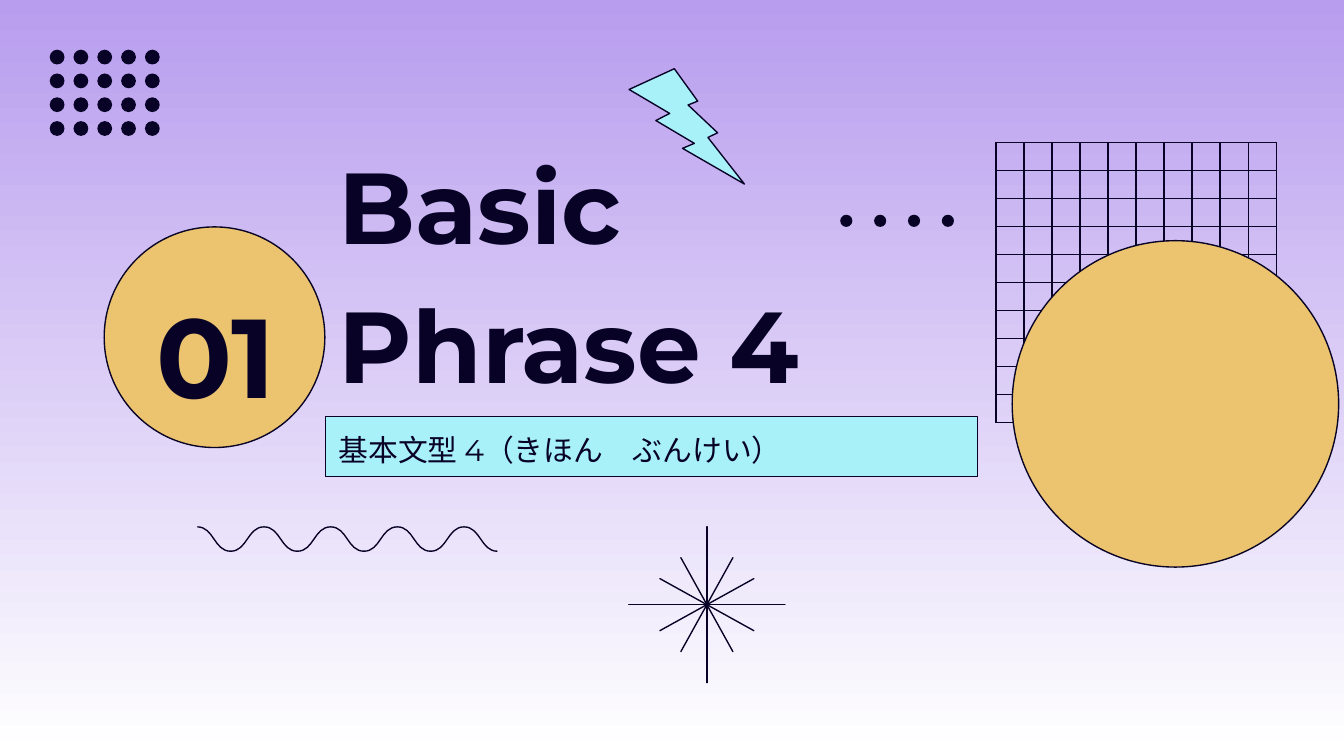
from lxml import etree
from pptx import Presentation
from pptx.dml.color import RGBColor
from pptx.enum import shapes, text
from pptx.oxml.ns import qn
from pptx.util import Cm, Pt

INK = RGBColor(0x08, 0x03, 0x26)
GOLD = RGBColor(0xEC, 0xC3, 0x6F)
AQUA = RGBColor(0xA9, 0xF1, 0xF9)
LILAC = RGBColor(0xB8, 0x9D, 0xEE)
WHITE = RGBColor(0xFF, 0xFF, 0xFF)
FONT = "Montserrat"
LINE_WIDTH = Pt(0.75)
OVAL = shapes.MSO_SHAPE.OVAL

# All lengths are in centimetres; boxes are left, top, width, height.
TITLE = ("Basic Phrase 4", (6.15, 5.11, 12.32, 2.77), 54)
NUMBER = ("01", (2.34, 5.11, 3.48, 2.77), 60)
SUBTITLE = ("基本文型 4（きほん　ぶんけい）", (6.15, 7.87, 12.32, 1.14), 16)
NUMBER_CIRCLE = (1.97, 4.29, 4.17, 4.17)
LARGE_CIRCLE = (19.13, 4.55, 6.17, 6.17)
BOLT = (11.89, 1.3, 2.18, 2.18)
STAR_CENTRE = (13.36, 11.43)
STAR_RAYS = [(2.95, 0), (2.03, 29), (2.03, -29)]  # size, rotation
DOT_BLOCK = dict(left=0.94, top=0.94, columns=5, rows=4, size=0.28, pitch=0.45)
DOT_ROW = dict(left=15.88, top=4.06, columns=4, rows=1, size=0.23, pitch=0.64)
GRID = dict(left=18.82, top=2.69, cells=10, size=5.3)
WAVE = dict(left=3.73, top=9.96, half_wave=0.63, height=0.46, halves=9)


def style(shape, fill=None, outlined=True):
    shape.shadow.inherit = False
    if fill is None:
        shape.fill.background()
    else:
        shape.fill.solid()
        shape.fill.fore_color.rgb = fill
    if outlined:
        shape.line.color.rgb = INK
        shape.line.width = LINE_WIDTH
    else:
        shape.line.fill.background()


def add_preset(parent, preset, box, fill=None, outlined=True):
    shape = parent.add_shape(preset, *map(Cm, box))
    style(shape, fill, outlined)
    return shape


def write(shape, content, size, anchor, align=text.PP_ALIGN.LEFT, bold=True):
    frame = shape.text_frame
    frame.word_wrap = True
    frame.vertical_anchor = anchor
    frame.margin_left = frame.margin_right = Cm(0.25)
    frame.margin_top = frame.margin_bottom = Cm(0.25)
    frame.text = content
    paragraph = frame.paragraphs[0]
    paragraph.alignment = align
    paragraph.line_spacing = 1.15
    font = paragraph.runs[0].font
    font.name, font.size, font.bold = FONT, Pt(size), bold
    font.color.rgb = INK


def add_dots(parent, left, top, columns, rows, size, pitch):
    group = parent.add_group_shape().shapes
    for row in range(rows):
        for column in range(columns):
            box = (left + column * pitch, top + row * pitch, size, size)
            add_preset(group, OVAL, box, INK, outlined=False)


def add_line(parent, *ends):
    line = parent.add_connector(shapes.MSO_CONNECTOR.STRAIGHT, *map(Cm, ends))
    line.line.color.rgb = INK
    line.line.width = LINE_WIDTH
    etree.SubElement(line._element.spPr, qn("a:effectLst"))


def add_grid(parent, left, top, cells, size):
    group = parent.add_group_shape().shapes
    for index in range(cells + 1):
        offset = index * size / cells
        add_line(group, left + offset, top, left + offset, top + size)
        add_line(group, left, top + offset, left + size, top + offset)


def add_wave(parent, left, top, half_wave, height, halves):
    """Draw a zigzag, then bend each of its segments into an S curve."""
    points = [(Cm(left + i * half_wave), Cm(top + i % 2 * height))
              for i in range(halves + 1)]
    builder = parent.build_freeform(*points[0])
    builder.add_line_segments(points[1:], close=False)
    wave = builder.convert_to_shape()
    style(wave)
    start_x, start_y = 0, 0
    for segment in list(wave._element.iter(qn("a:lnTo"))):
        end = segment[0]
        end_x, end_y = int(end.get("x")), int(end.get("y"))
        middle = (start_x + end_x) // 2
        curve = etree.Element(qn("a:cubicBezTo"))
        for x, y in [(middle, start_y), (middle, end_y), (end_x, end_y)]:
            etree.SubElement(curve, qn("a:pt"), x=str(x), y=str(y))
        segment.getparent().replace(segment, curve)
        start_x, start_y = end_x, end_y


def add_star(parent):
    group = parent.add_group_shape().shapes
    centre_x, centre_y = STAR_CENTRE
    for size, rotation in STAR_RAYS:
        box = (centre_x - size / 2, centre_y - size / 2, size, size)
        star = add_preset(group, shapes.MSO_SHAPE.STAR_4_POINT, box)
        star.adjustments[0] = 0
        star.rotation = rotation


def paint_background(slide):
    fill = slide.background.fill
    fill.gradient()
    fill.gradient_angle = 270
    for stop, colour in zip(fill.gradient_stops, (LILAC, WHITE)):
        stop.color.rgb = colour


def main():
    presentation = Presentation()
    presentation.slide_width, presentation.slide_height = Cm(25.4), Cm(14.29)
    slide = presentation.slides.add_slide(presentation.slide_layouts[6])
    paint_background(slide)
    canvas = slide.shapes

    add_preset(canvas, OVAL, NUMBER_CIRCLE, GOLD)
    content, box, size = TITLE
    write(canvas.add_textbox(*map(Cm, box)), content, size, text.MSO_ANCHOR.BOTTOM)
    content, box, size = NUMBER
    write(canvas.add_textbox(*map(Cm, box)), content, size,
          text.MSO_ANCHOR.MIDDLE, text.PP_ALIGN.CENTER)
    content, box, size = SUBTITLE
    banner = add_preset(canvas, shapes.MSO_SHAPE.RECTANGLE, box, AQUA)
    write(banner, content, size, text.MSO_ANCHOR.MIDDLE, bold=False)

    add_wave(canvas, **WAVE)
    add_preset(canvas, shapes.MSO_SHAPE.LIGHTNING_BOLT, BOLT, AQUA)
    add_star(canvas)
    add_dots(canvas, **DOT_BLOCK)
    add_grid(canvas, **GRID)
    add_preset(canvas, OVAL, LARGE_CIRCLE, GOLD)
    add_dots(canvas, **DOT_ROW)
    presentation.save("out.pptx")


if __name__ == "__main__":
    main()
